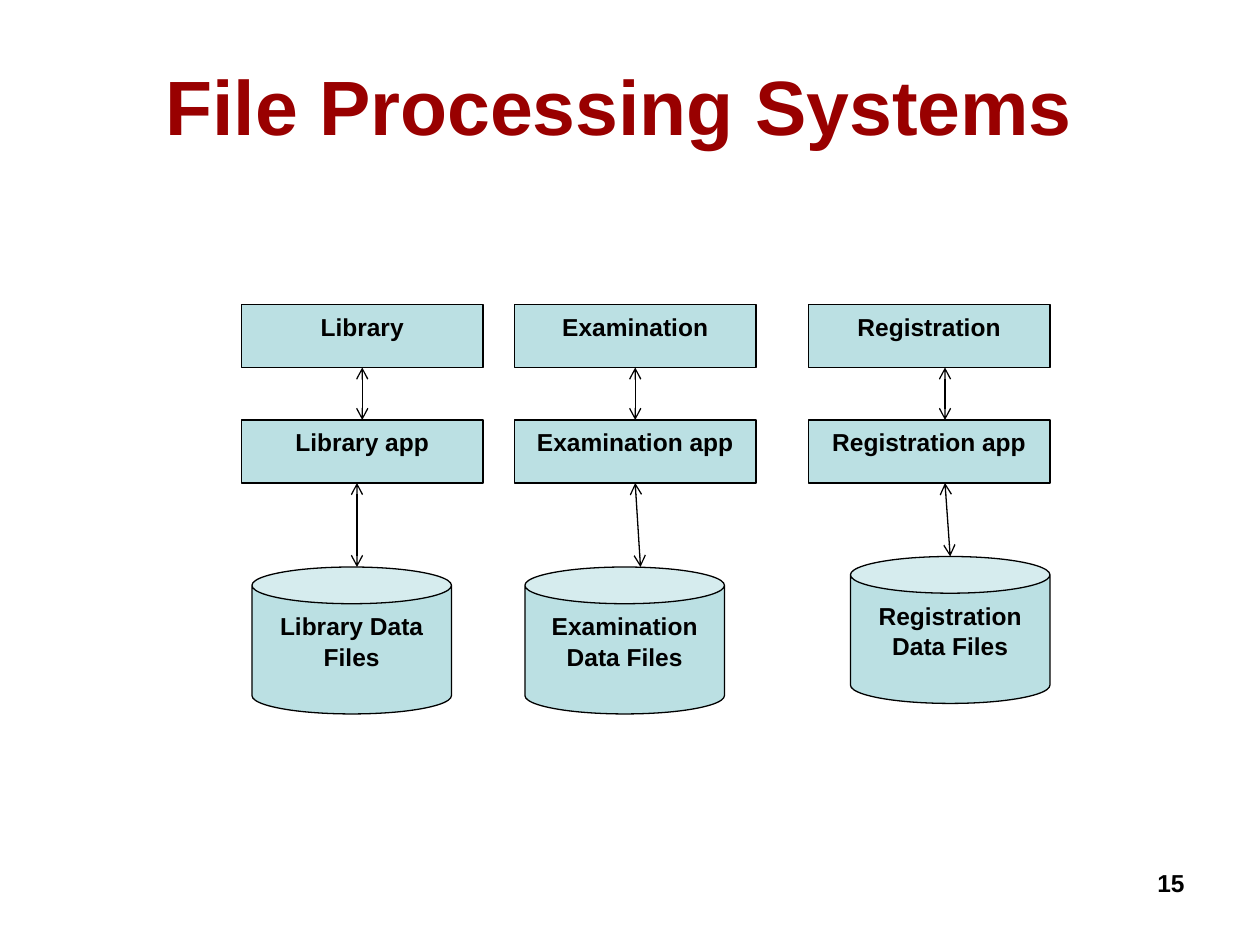
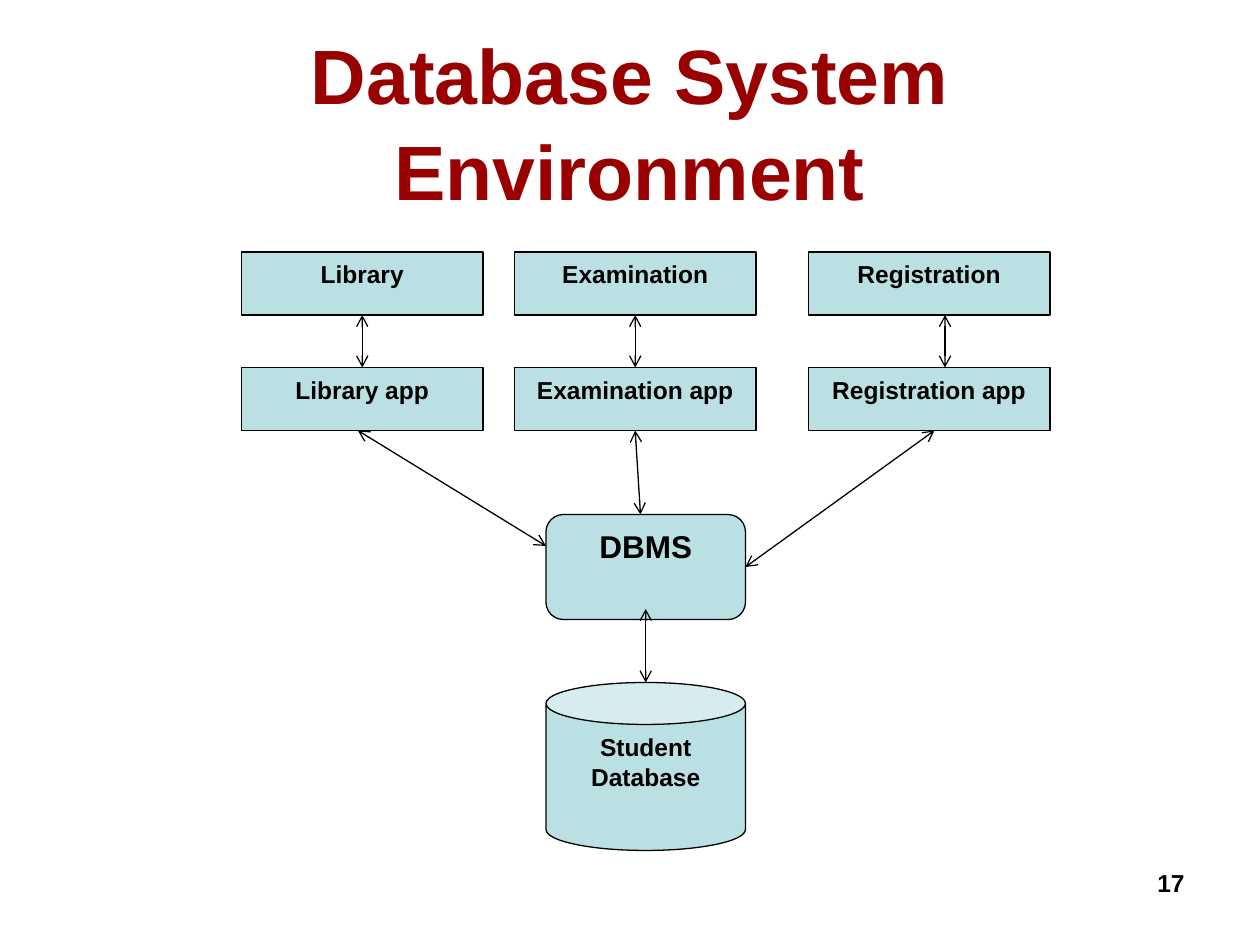
from dataclasses import dataclass

from lxml import etree
from pptx import Presentation
from pptx import util as u
from pptx.dml.color import RGBColor
from pptx.enum import shapes, text
from pptx.oxml.ns import qn


@dataclass(frozen=True)
class Theme:
    """Colours, font and type sizes of the deck."""
    font: str = "Arial"
    title: str = "990000"
    ink: str = "000000"
    fill: str = "BBE0E3"
    big: int = 44
    mid: int = 18
    base: int = 14
    rule: float = 0.75
    lead: float = 1.04


LOOK = Theme()
KIND = shapes.MSO_SHAPE
ALIGN = text.PP_ALIGN
UNITS = ["Library", "Examination", "Registration"]
COLS = [0, 156, 324]
WIDE, HIGH, STEP = 138, 36, 66


def write(frame, words, size, hue=LOOK.ink, align=ALIGN.CENTER):
    """Fill a text frame with one bold paragraph."""
    frame.text = words
    frame.word_wrap = True
    para = frame.paragraphs[0]
    para.alignment = align
    para.line_spacing = LOOK.lead
    font = para.runs[0].font
    font.name, font.size, font.bold = LOOK.font, u.Pt(size), True
    font.color.rgb = RGBColor.from_string(hue)


def node(sld, kind, box, words, size=LOOK.base):
    """Draw a labelled shape with its text at the top."""
    shape = sld.shapes.add_shape(kind, *map(u.Pt, box))
    shape.shadow.inherit = False
    shape.fill.solid()
    shape.fill.fore_color.rgb = RGBColor.from_string(LOOK.fill)
    shape.line.color.rgb = RGBColor.from_string(LOOK.ink)
    shape.line.width = u.Pt(LOOK.rule)
    shape.text_frame.vertical_anchor = text.MSO_ANCHOR.TOP
    write(shape.text_frame, words, size)
    return shape


def link(sld, start, end, head=None, tail=None):
    """Draw a two-way arrow, joined to the (shape, side) pairs given."""
    line = sld.shapes.add_connector(
        shapes.MSO_CONNECTOR.STRAIGHT, *map(u.Pt, (*start, *end)))
    line.line.color.rgb = RGBColor.from_string(LOOK.ink)
    line.line.width = u.Pt(LOOK.rule)
    props = line._element.spPr
    for tag in ("a:headEnd", "a:tailEnd"):
        etree.SubElement(props.find(qn("a:ln")), qn(tag), type="arrow")
    etree.SubElement(props, qn("a:effectLst"))
    if head:
        line.begin_connect(*head)
    if tail:
        line.end_connect(*tail)


def frame(deck, title, left, top, page):
    """Add a slide with its title and page number."""
    sld = deck.slides.add_slide(deck.slide_layouts[5])
    head = sld.shapes.title
    head.left, head.top = u.Pt(left), u.Pt(top)
    head.width, head.height = u.Pt(648), u.Pt(90)
    body = head.text_frame
    body.auto_size = text.MSO_AUTO_SIZE.NONE
    body.vertical_anchor = text.MSO_ANCHOR.MIDDLE
    body.margin_top, body.margin_bottom = u.Pt(4), 0
    write(body, title, LOOK.big, LOOK.title)
    foot = sld.shapes.add_textbox(*map(u.Pt, (516, 492, 168, 37)))
    write(foot.text_frame, str(page), LOOK.base, align=ALIGN.RIGHT)
    return sld


def stacks(sld, left, top):
    """Draw each unit above its application and return the applications."""
    apps = []
    for name, col, mid in zip(UNITS, COLS, (69, 225, 402)):
        unit, app = [
            node(sld, KIND.RECTANGLE, (left + col, top + row, WIDE, HIGH), words)
            for row, words in ((0, name), (STEP, f"{name} app"))]
        centred = mid == col + WIDE / 2
        link(sld, (left + mid, top + HIGH), (left + mid, top + STEP),
             (unit, 2) if centred else None, (app, 0) if centred else None)
        apps.append(app)
    return apps


def stores(sld, left, top, apps):
    """Draw a data store under each application."""
    base = top + STEP + HIGH
    spots = [(6, 48, 66, 66), (162, 48, 225, 228), (348, 42, 402, 405)]
    for name, app, (col, drop, start, end) in zip(UNITS, apps, spots):
        node(sld, KIND.CAN, (left + col, base + drop, 114, 84),
             f"{name} Data Files")
        link(sld, (left + start, base), (left + end, base + drop),
             (app, 2) if name == "Examination" else None)


def hub(sld, left, top, apps):
    """Draw the DBMS, its database and the arrows from the applications."""
    base = top + STEP + HIGH
    x, y = left + 174, base + 48
    core = node(sld, KIND.ROUNDED_RECTANGLE, (x, y, 114, 60), "DBMS", LOOK.mid)
    node(sld, KIND.CAN, (x, y + 96, 114, 96), "Student Database")
    link(sld, (left + 66.5, base), (x, y + 18))
    link(sld, (left + 225, base), (left + 228, y), (apps[1], 2))
    link(sld, (left + 396, base), (x + 114, y + 30), None, (core, 3))
    link(sld, (x + 57, y + 54), (x + 57, y + 96))


def main():
    """Build and save the deck."""
    deck = Presentation()
    deck.slide_width, deck.slide_height = u.Pt(720), u.Pt(540)
    sld = frame(deck, "File Processing Systems", 30, 12, 15)
    stores(sld, 138, 174, stacks(sld, 138, 174))
    sld = frame(deck, "Database System Environment", 36, 21.5, 17)
    hub(sld, 138, 144, stacks(sld, 138, 144))
    deck.save("out.pptx")


if __name__ == "__main__":
    main()
